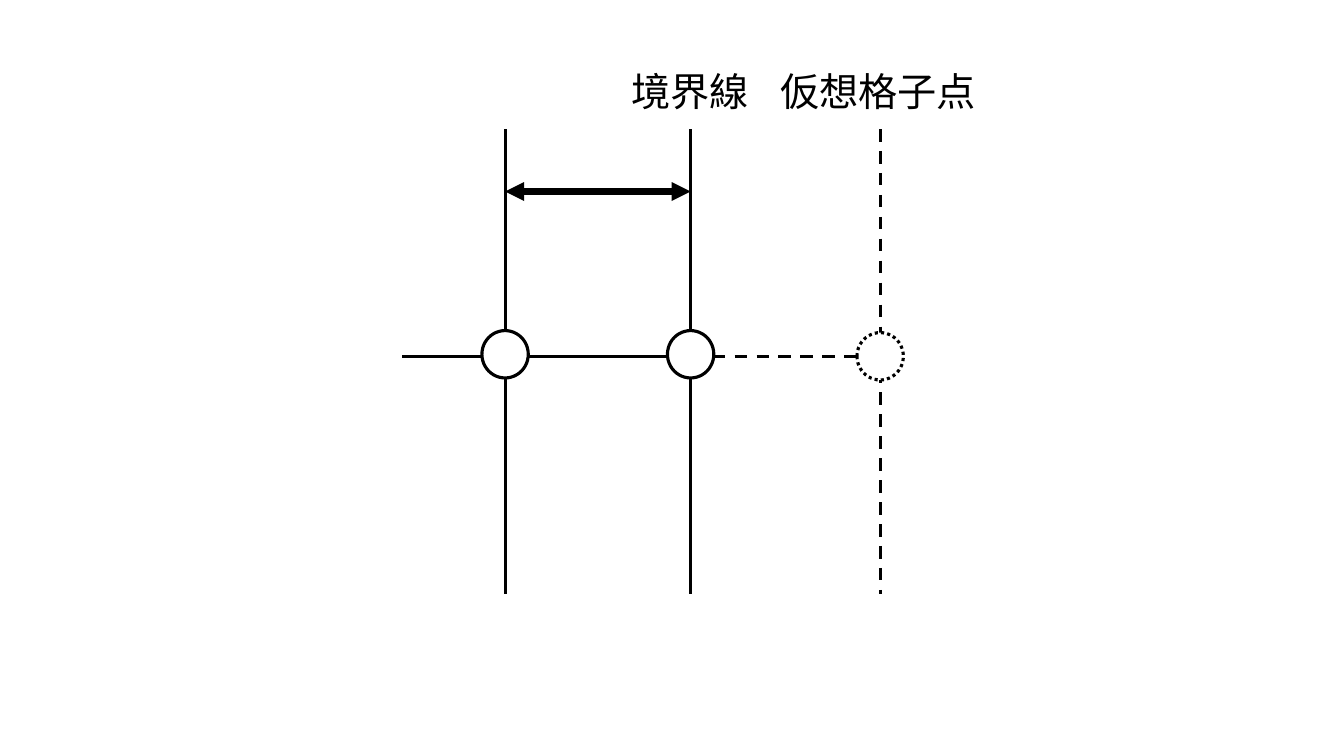
"""Build a slide showing a boundary line and its virtual grid points."""
from pptx import Presentation
from pptx.dml.color import RGBColor
from pptx.enum.dml import MSO_LINE
from pptx.enum.shapes import MSO_CONNECTOR, MSO_SHAPE
from pptx.enum.text import MSO_AUTO_SIZE
from pptx.oxml.ns import qn
from pptx.util import Inches, Pt
from lxml.etree import SubElement

THEME = {
    "ink": RGBColor(0, 0, 0),
    "paper": RGBColor(255, 255, 255),
    "font": "Noto Sans CJK JP",
    "label_size": Pt(28),
    "grid_width": Pt(2.25),
    "arrow_width": Pt(4.5),
}
INNER_X, BOUNDARY_X, VIRTUAL_X = 5.01, 6.85, 8.73
TOP, BOTTOM, ROW_Y, ARROW_Y = 1.28, 5.89, 3.54, 1.9
NODE_WIDTH, NODE_HEIGHT = 0.46, 0.47


def format_line(line, width, dash=None):
    line.color.rgb = THEME["ink"]
    for name, value in {"width": width, "dash_style": dash}.items():
        setattr(line, name, value)


def add_line(shapes, start, end, width, dash=None):
    connector = shapes.add_connector(
        MSO_CONNECTOR.STRAIGHT, *[Inches(value) for value in (*start, *end)])
    format_line(connector.line, width, dash)
    SubElement(connector._element.spPr, qn("a:effectLst"))
    return connector


presentation = Presentation()
presentation.slide_width = Inches(13.33)
presentation.slide_height = Inches(7.5)
slide = presentation.slides.add_slide(presentation.slide_layouts[6])
diagram = slide.shapes.add_group_shape().shapes

grid_lines = [
    ((BOUNDARY_X, ROW_Y), (VIRTUAL_X, ROW_Y), MSO_LINE.DASH),
    ((3.99, ROW_Y), (BOUNDARY_X, ROW_Y), None),
    ((INNER_X, TOP), (INNER_X, BOTTOM), None),
    ((VIRTUAL_X, TOP), (VIRTUAL_X, BOTTOM), MSO_LINE.DASH),
    ((BOUNDARY_X, TOP), (BOUNDARY_X, BOTTOM), None),
]
for start, end, dash in grid_lines:
    add_line(diagram, start, end, THEME["grid_width"], dash)

nodes = [
    (BOUNDARY_X, 3.28, None),
    (VIRTUAL_X, 3.3, MSO_LINE.ROUND_DOT),
    (INNER_X, 3.28, None),
]
for center_x, top, dash in nodes:
    node = diagram.add_shape(
        MSO_SHAPE.OVAL, Inches(center_x - NODE_WIDTH / 2), Inches(top),
        Inches(NODE_WIDTH), Inches(NODE_HEIGHT))
    node.shadow.inherit = False
    node.fill.solid()
    node.fill.fore_color.rgb = THEME["paper"]
    format_line(node.line, THEME["grid_width"], dash)

for text, left, width in [("境界線", 6.26, 1.18), ("仮想格子点", 7.74, 1.96)]:
    label = diagram.add_textbox(
        Inches(left), Inches(0.67), Inches(width), Inches(0.47))
    frame_format = {
        "margin_left": 0, "margin_right": 0, "margin_top": 0, "margin_bottom": 0,
        "word_wrap": False, "auto_size": MSO_AUTO_SIZE.SHAPE_TO_FIT_TEXT,
    }
    for name, value in frame_format.items():
        setattr(label.text_frame, name, value)
    run = label.text_frame.paragraphs[0].add_run()
    run.text = text
    for name, value in {"name": THEME["font"], "size": THEME["label_size"]}.items():
        setattr(run.font, name, value)
    run.font.color.rgb = THEME["ink"]
    SubElement(run._r.get_or_add_rPr(), qn("a:ea"), typeface=THEME["font"])

spacing_arrow = add_line(
    diagram, (INNER_X, ARROW_Y), (BOUNDARY_X, ARROW_Y), THEME["arrow_width"])
for end_tag in ("a:headEnd", "a:tailEnd"):
    SubElement(spacing_arrow.line._get_or_add_ln(), qn(end_tag), type="triangle")

presentation.save("out.pptx")
